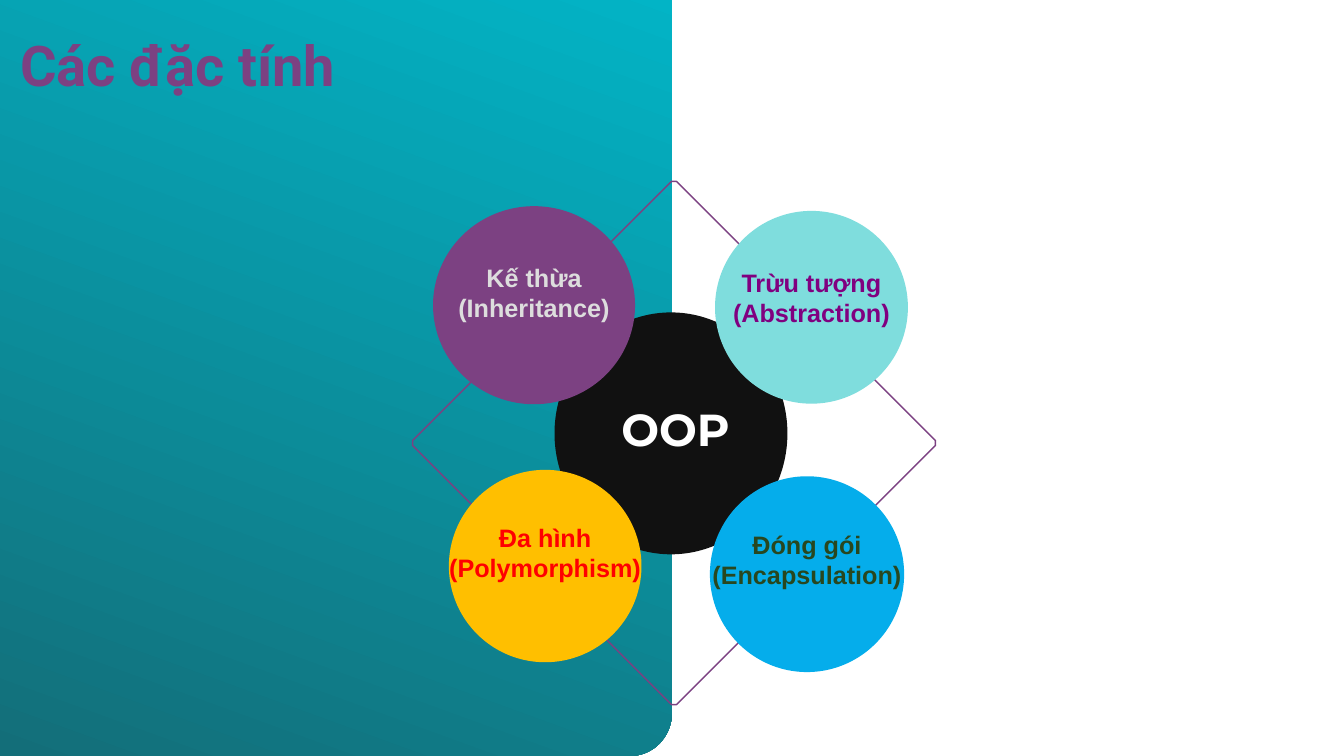
from math import cos, pi, sin

from pptx import Presentation
from pptx.dml.color import RGBColor
from pptx.enum.shapes import MSO_SHAPE
from pptx.enum.text import MSO_ANCHOR, MSO_AUTO_SIZE, PP_ALIGN
from pptx.util import Inches, Pt

WIDTH, HEIGHT = Inches(13.33), Inches(7.5)
COLORS = {
    "panel_dark": "136E79", "panel_light": "02B6C8", "core": "111111",
    "purple": "7C4182", "mint": "7FDDDD", "sky": "05ADEB", "amber": "FFBF00",
    "silver": "DDDDDD", "violet": "800080", "forest": "28471F",
    "red": "FF0000", "white": "FFFFFF",
}
TRAITS = [
    ("Kế thừa", "(Inheritance)", "purple", "silver", (32.22, 27.27, 15.03, 26.2), 3.6),
    ("Trừu tượng", "(Abstraction)", "mint", "violet", (53.2, 27.9, 14.35, 25.5), 3.73),
    ("Đóng gói", "(Encapsulation)", "sky", "forest", (52.82, 63, 14.45, 25.9), 3.2),
    ("Đa hình", "(Polymorphism)", "amber", "red", (33.4, 62.15, 14.33, 25.45), 3.2),
]


def color(name):
    """Return a named colour."""
    return RGBColor.from_string(COLORS[name])


def across(share):
    """Turn a percentage of the slide width into a length."""
    return int(WIDTH * share / 100)


def down(share):
    """Turn a percentage of the slide height into a length."""
    return int(HEIGHT * share / 100)


def frame(left, top, width, height):
    """Turn a box given in percentages into lengths."""
    return across(left), down(top), across(width), down(height)


def write(box, lines, font, size, ink, align, anchor, wrap=True, top=0):
    """Write one bold paragraph per line into a shape."""
    text = box.text_frame
    text.auto_size = MSO_AUTO_SIZE.NONE
    text.word_wrap = wrap
    text.vertical_anchor = anchor
    text.margin_left = text.margin_right = text.margin_bottom = 0
    text.margin_top = down(top)
    for index, line in enumerate(lines):
        para = text.add_paragraph() if index else text.paragraphs[0]
        para.alignment = align
        span = para.add_run()
        span.text = line
        span.font.name = font
        span.font.size = Pt(size)
        span.font.bold = True
        span.font.color.rgb = color(ink)


def add_outline(page, points):
    """Draw a closed outline through points given in percentages."""
    corners = [(across(x), down(y)) for x, y in points]
    builder = page.shapes.build_freeform(*corners[0])
    builder.add_line_segments(corners[1:], close=True)
    outline = builder.convert_to_shape()
    outline.shadow.inherit = False
    return outline


def add_panel(page):
    """Add the gradient panel with a rounded lower right corner."""
    right, top, reach, rise = 50, -4.8, 3.1, 5.73
    turns = [pi / 2 * step / 24 for step in range(25)]
    curve = [(right - reach + reach * cos(turn), 100 - rise + rise * sin(turn))
             for turn in turns]
    panel = add_outline(page, [(0, top), (right, top), *curve, (0, 100)])
    panel.line.fill.background()
    panel.fill.gradient()
    panel.fill.gradient_angle = 70
    for stop, name in zip(panel.fill.gradient_stops, ("panel_dark", "panel_light")):
        stop.color.rgb = color(name)


def add_diamond(page):
    """Add the thin diamond with blunted tips."""
    x, y, reach, rise, cut, drop = 50.15, 58.6, 19.45, 34.6, 0.19, 0.33
    diamond = add_outline(page, [
        (x - cut, y - rise), (x + cut, y - rise),
        (x + reach, y - drop), (x + reach, y + drop),
        (x + cut, y + rise), (x - cut, y + rise),
        (x - reach, y + drop), (x - reach, y - drop),
    ])
    diamond.fill.background()
    diamond.line.color.rgb = color("purple")
    diamond.line.width = Pt(1)


def add_circle(page, place, fill):
    """Add a plain filled circle."""
    circle = page.shapes.add_shape(MSO_SHAPE.OVAL, *frame(*place))
    circle.shadow.inherit = False
    circle.fill.solid()
    circle.fill.fore_color.rgb = color(fill)
    circle.line.fill.background()
    return circle


def add_title(page, words):
    """Place the title in front of the panel."""
    title = page.shapes.title
    title.left, title.top, title.width, title.height = frame(1.5, 4, 40.66, 8)
    write(title, [words], "Roboto", 40, "purple", PP_ALIGN.LEFT, MSO_ANCHOR.TOP)
    title.element.getparent().append(title.element)


def main():
    """Build the slide and save it."""
    deck = Presentation()
    deck.slide_width, deck.slide_height = WIDTH, HEIGHT
    page = deck.slides.add_slide(deck.slide_layouts[5])
    add_panel(page)
    add_circle(page, (41.26, 41.33, 17.33, 32), "core")
    add_diamond(page)
    for name, term, fill, ink, place, top in TRAITS:
        circle = add_circle(page, place, fill)
        write(circle, [name, term], "Arial", 18, ink, PP_ALIGN.CENTER,
              MSO_ANCHOR.TOP, wrap=False, top=top)
    add_title(page, "Các đặc tính")
    label = page.shapes.add_textbox(*frame(44.49, 56.8, 11.55, 3.47))
    write(label, ["OOP"], "Montserrat", 32, "white", PP_ALIGN.CENTER, MSO_ANCHOR.BOTTOM)
    deck.save("out.pptx")


if __name__ == "__main__":
    main()
